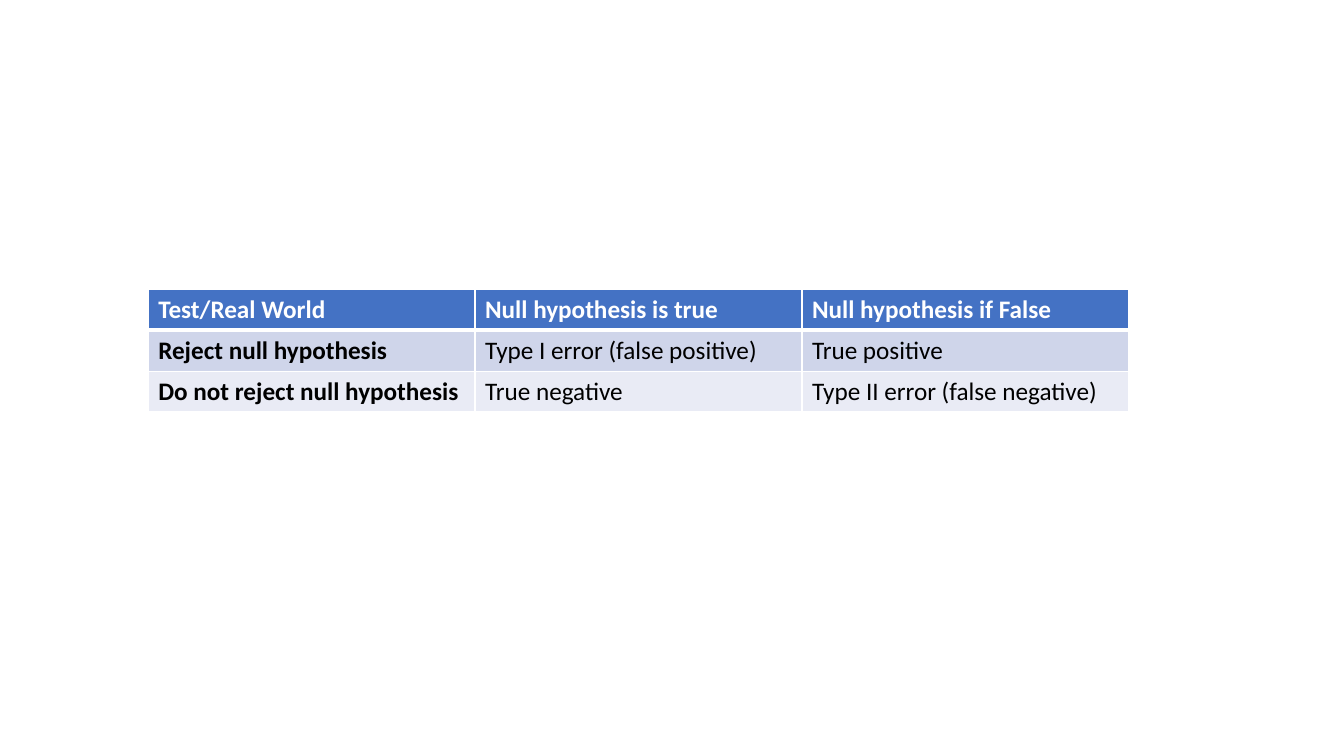
import pptx
import pptx.util
import pptx.dml.color
import pptx.enum.text
import lxml.etree
from dataclasses import dataclass

ROWS = [
    ("Test/Real World", "Null hypothesis is true", "Null hypothesis if False"),
    ("Reject null hypothesis", "Type I error (false positive)", "True positive"),
    ("Do not reject null hypothesis", "True negative", "Type II error (false negative)"),
]
LEFT, TOP = 1.47, 2.87
COL_W, ROW_H = 3.243, 0.406


@dataclass(frozen=True)
class Theme:
    font: str = "Calibri"
    size: int = 18
    fills: tuple = ("4472C4", "CFD5EA", "E9EBF5")
    header_text: str = "FFFFFF"
    body_text: str = "000000"
    border: str = "FFFFFF"
    thin: int = 1
    thick: int = 3


THEME = Theme()
NS = "{http://schemas.openxmlformats.org/drawingml/2006/main}"
Inches, Pt = pptx.util.Inches, pptx.util.Pt
rgb = pptx.dml.color.RGBColor.from_string


def add_borders(cell, widths):
    tc_pr = cell._tc.get_or_add_tcPr()
    for side, width in widths.items():
        ln = lxml.etree.SubElement(tc_pr, NS + "ln" + side, w=str(Pt(width)))
        fill = lxml.etree.SubElement(ln, NS + "solidFill")
        lxml.etree.SubElement(fill, NS + "srgbClr", val=THEME.border)


def fill_cell(cell, text, row, col):
    add_borders(cell, {
        "L": THEME.thin,
        "R": THEME.thin,
        "T": THEME.thick if row == 1 else THEME.thin,
        "B": THEME.thick if row == 0 else THEME.thin,
    })
    cell.fill.solid()
    cell.fill.fore_color.rgb = rgb(THEME.fills[row])
    p = cell.text_frame.paragraphs[0]
    p.alignment = pptx.enum.text.PP_ALIGN.LEFT
    r = p.add_run()
    r.text = text
    r.font.name = THEME.font
    r.font.size = Pt(THEME.size)
    r.font.bold = row == 0 or col == 0
    r.font.color.rgb = rgb(THEME.body_text if row else THEME.header_text)


def main():
    prs = pptx.Presentation()
    prs.slide_width, prs.slide_height = Inches(13.333), Inches(7.5)
    s = prs.slides.add_slide(prs.slide_layouts[6])
    n_rows, n_cols = len(ROWS), len(ROWS[0])
    table = s.shapes.add_table(
        n_rows, n_cols, Inches(LEFT), Inches(TOP),
        Inches(COL_W * n_cols), Inches(ROW_H * n_rows)).table
    table.first_col = True
    for column in table.columns:
        column.width = Inches(COL_W)
    for row, texts in enumerate(ROWS):
        table.rows[row].height = Inches(ROW_H)
        for col, text in enumerate(texts):
            fill_cell(table.cell(row, col), text, row, col)
    prs.save("out.pptx")


if __name__ == "__main__":
    main()
